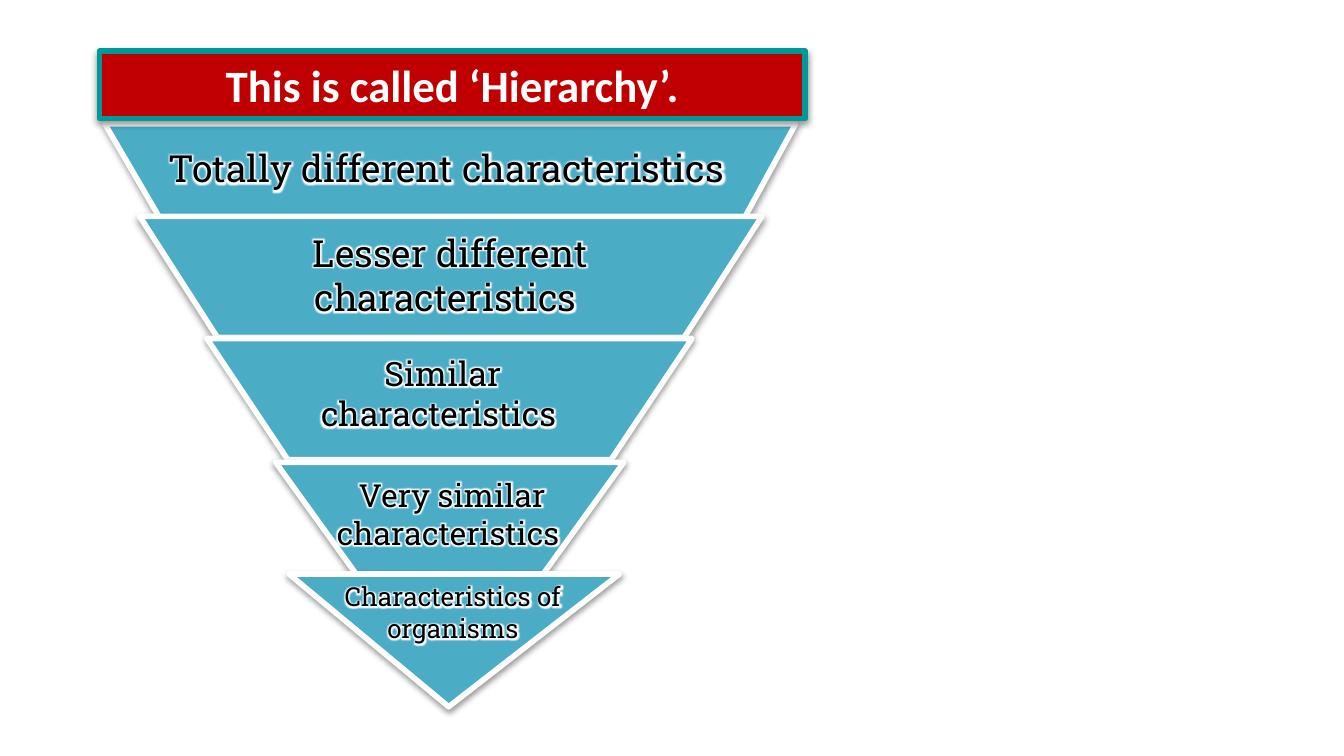
from lxml.etree import SubElement
from pptx import Presentation
from pptx.dml.color import RGBColor
from pptx.enum.shapes import MSO_SHAPE
from pptx.enum.text import MSO_ANCHOR, PP_ALIGN
from pptx.oxml import parse_xml
from pptx.oxml.ns import nsdecls, qn
from pptx.util import Cm, Pt

TEAL = RGBColor(0x00, 0x99, 0x99)
RED = RGBColor(0xC0, 0x00, 0x00)
BLUE = RGBColor(0x4B, 0xAC, 0xC6)
WHITE = RGBColor(0xFF, 0xFF, 0xFF)
BLACK = RGBColor(0x00, 0x00, 0x00)

TITLE_BOX = (1.88, 0.97, 13.34, 1.27)
TITLE_FONT = {"name": "Calibri", "size": Pt(24), "bold": True}

# Band box, left and right slant, label box, label, text size (lengths in cm)
BANDS = [
    ((1.98, 2.34, 13.06, 1.78), (1.04, 0.97), (2.18, 2.62, 12.7, 1.12),
     "Totally different characteristics ", 20),
    ((2.64, 4.09, 11.76, 2.29), (1.47, 1.47), (4.8, 4.22, 7.42, 1.96),
     "Lesser different characteristics ", 20),
    ((3.91, 6.4, 9.17, 2.29), (1.53, 1.53), (5.54, 6.55, 5.66, 1.8),
     "Similar characteristics ", 18),
    ((5.21, 8.74, 6.58, 2.29), (1.65, 1.65), (6.02, 8.86, 5.05, 1.7),
     "Very similar characteristics ", 17),
    ((5.46, 10.85, 6.25, 2.51), (3.02, 3.23), (6.2, 10.85, 4.72, 1.45),
     "Characteristics of organisms", 14),
]


def style_shape(sp, fill, line):
    """Fill and outline a shape and give it a soft shadow straight below."""
    sp.fill.solid()
    sp.fill.fore_color.rgb = fill
    sp.line.color.rgb = line
    sp.line.width = Pt(3)
    sp.shadow.inherit = False
    effects = sp._element.spPr.find(qn("a:effectLst"))
    shadow = SubElement(effects, qn("a:outerShdw"), blurRad="40000",
                        dist="20000", dir="5400000", rotWithShape="0")
    color = SubElement(shadow, qn("a:srgbClr"), val="000000")
    SubElement(color, qn("a:alpha"), val="38000")


def write_text(sp, text, color, font):
    tf = sp.text_frame
    tf.word_wrap = True
    p = tf.paragraphs[0]
    p.alignment = PP_ALIGN.CENTER
    r = p.add_run()
    r.text = text
    r.font.color.rgb = color
    for key, value in font.items():
        setattr(r.font, key, value)
    return r


def add_glow(r):
    """Put a white halo around the letters of a run."""
    glow = parse_xml(
        f'<a:effectLst {nsdecls("a")}><a:glow rad="63500">'
        f'<a:srgbClr val="{WHITE}"/></a:glow></a:effectLst>')
    r.font._element.find(qn("a:solidFill")).addnext(glow)


def add_band(s, box, slants, label_box, label, size):
    left, top, width, height = box
    right, bottom = left + width, top + height
    outline = [(right, top), (right - slants[1], bottom),
               (left + slants[0], bottom), (left, top)]
    points = [(Cm(x), Cm(y)) for x, y in outline]
    builder = s.shapes.build_freeform(*points[0])
    builder.add_line_segments(points[1:], close=True)
    style_shape(builder.convert_to_shape(), BLUE, WHITE)

    sp = s.shapes.add_textbox(*map(Cm, label_box))
    add_glow(write_text(sp, label, BLACK,
                        {"name": "Roboto Slab", "size": Pt(size)}))


def add_title(s, box):
    sp = s.shapes.add_shape(MSO_SHAPE.RECTANGLE, *map(Cm, box))
    style_shape(sp, RED, TEAL)
    sp.text_frame.vertical_anchor = MSO_ANCHOR.TOP
    write_text(sp, "This is called ‘Hierarchy’.", WHITE, TITLE_FONT)


def main():
    prs = Presentation()
    prs.slide_width, prs.slide_height = Cm(25.4), Cm(14.29)
    s = prs.slides.add_slide(prs.slide_layouts[6])
    for band in BANDS:
        add_band(s, *band)
    add_title(s, TITLE_BOX)
    prs.save("out.pptx")


if __name__ == "__main__":
    main()
